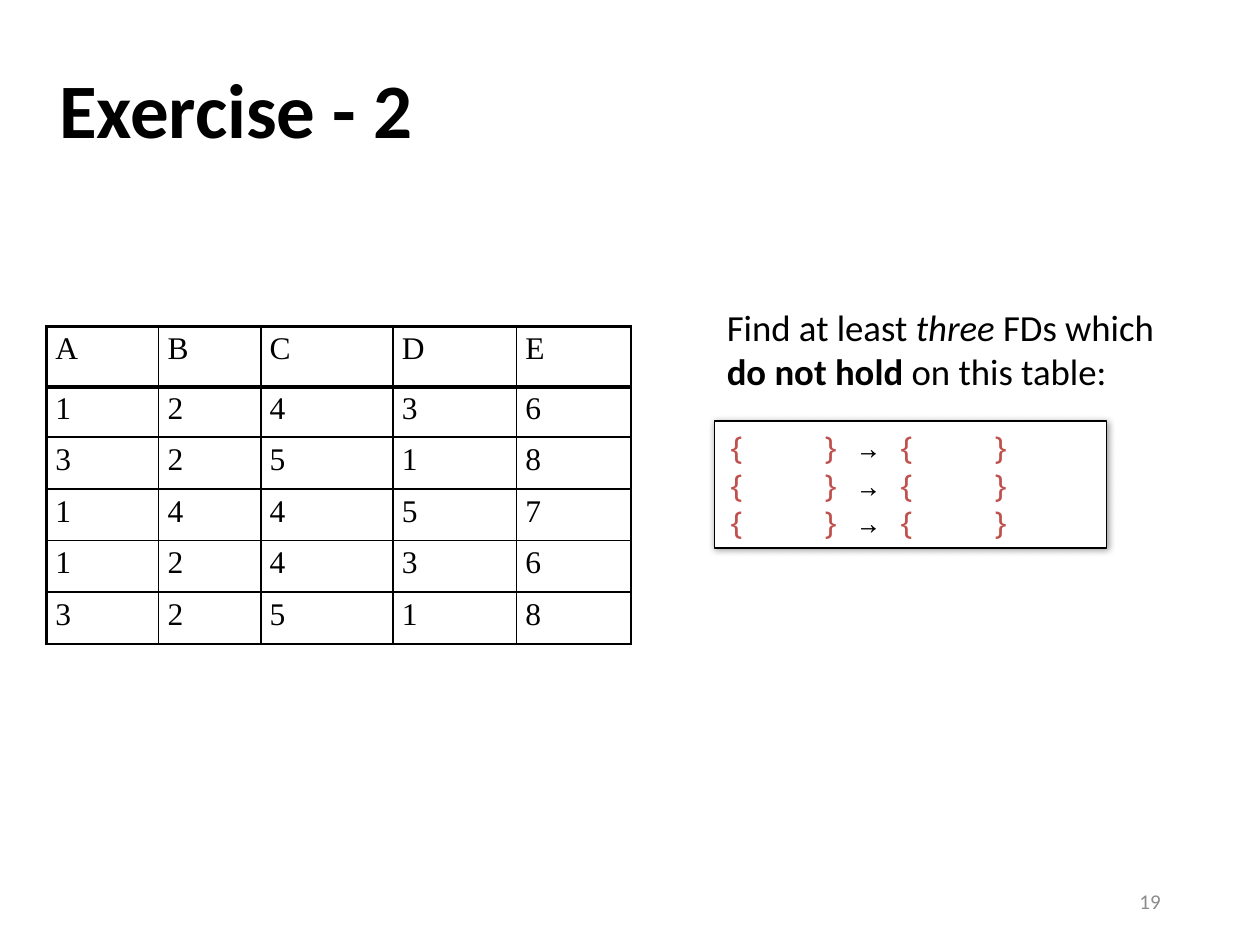
import pptx
import pptx.dml.color
import pptx.enum.shapes
import pptx.enum.text
import pptx.oxml
import pptx.oxml.ns
import pptx.util
from pptx.util import Inches

RGBColor = pptx.dml.color.RGBColor
Pt = pptx.util.Pt
Align = pptx.enum.text.PP_ALIGN
Anchor = pptx.enum.text.MSO_ANCHOR

BLACK = RGBColor(0x00, 0x00, 0x00)
WHITE = RGBColor(0xFF, 0xFF, 0xFF)
GRAY = RGBColor(0x8C, 0x8C, 0x8C)
RED = RGBColor(0xC0, 0x50, 0x4D)

NS = pptx.oxml.ns.nsdecls("a")
THIN, THICK = 1, 2.25


class SlideBuilder:
    body_font = "Calibri"
    table_font = "Times New Roman"
    mono_font = "Noto Sans Mono"

    def __init__(self, prs):
        self.slide = prs.slides.add_slide(prs.slide_layouts[6])

    def run(self, p, text, size, color=BLACK, font=None, bold=False, italic=False):
        r = p.add_run()
        r.text = text
        r.font.name = font or self.body_font
        r.font.size = Pt(size)
        r.font.color.rgb = color
        r.font.bold = bold
        r.font.italic = italic

    def text(self, box, runs, size, color=BLACK, anchor=Anchor.TOP,
             align=Align.LEFT, spacing=1.0):
        sp = self.slide.shapes.add_textbox(*map(Inches, box))
        tf = sp.text_frame
        tf.word_wrap = True
        tf.vertical_anchor = anchor
        p = tf.paragraphs[0]
        p.alignment = align
        p.line_spacing = spacing
        for text, style in runs:
            self.run(p, text, size, color, **style)

    def border(self, cell, side, width):
        cell._tc.get_or_add_tcPr().append(pptx.oxml.parse_xml(
            f'<a:{side} {NS} w="{int(Pt(width))}"><a:solidFill>'
            f'<a:srgbClr val="{BLACK}"/></a:solidFill></a:{side}>'))

    def table(self, left, top, widths, heights, rows):
        sp = self.slide.shapes.add_table(
            len(rows), len(widths), Inches(left), Inches(top),
            Inches(sum(widths)), Inches(sum(heights)))
        table = sp.table
        table.first_row = table.horz_banding = False
        for column, width in zip(table.columns, widths):
            column.width = Inches(width)
        for i, (row, height) in enumerate(zip(rows, heights)):
            table.rows[i].height = Inches(height)
            for j, value in enumerate(row):
                cell = table.cell(i, j)
                cell.margin_left = cell.margin_right = Inches(0.07)
                cell.margin_top = cell.margin_bottom = Inches(0.04)
                self.run(cell.text_frame.paragraphs[0], value, 18, font=self.table_font)
                self.border(cell, "lnL", THICK if j == 0 else THIN)
                self.border(cell, "lnR", THIN)
                self.border(cell, "lnT", THICK if i <= 1 else THIN)
                self.border(cell, "lnB", THICK if i == 0 else THIN)
                cell.fill.background()

    def shadow(self, sp):
        sp.shadow.inherit = False
        effects = sp._element.spPr.find(pptx.oxml.ns.qn("a:effectLst"))
        effects.append(pptx.oxml.parse_xml(
            f'<a:outerShdw {NS} blurRad="{int(Pt(4))}" dist="{int(Pt(1))}" '
            f'dir="{45 * 60000}" algn="tl" rotWithShape="0">'
            f'<a:srgbClr val="{BLACK}"><a:alpha val="40000"/></a:srgbClr></a:outerShdw>'))

    def tabs(self, p, stops):
        items = "".join(f'<a:tab pos="{int(Inches(x))}" algn="l"/>' for x in stops)
        p._p.get_or_add_pPr().append(
            pptx.oxml.parse_xml(f"<a:tabLst {NS}>{items}</a:tabLst>"))

    def answer_box(self, box, count, stops):
        sp = self.slide.shapes.add_shape(
            pptx.enum.shapes.MSO_SHAPE.RECTANGLE, *map(Inches, box))
        sp.fill.solid()
        sp.fill.fore_color.rgb = WHITE
        sp.line.color.rgb = BLACK
        sp.line.width = Pt(0.75)
        self.shadow(sp)
        tf = sp.text_frame
        tf.word_wrap = True
        tf.vertical_anchor = Anchor.MIDDLE
        for i in range(count):
            p = tf.add_paragraph() if i else tf.paragraphs[0]
            p.alignment = Align.LEFT
            self.tabs(p, stops)
            for text, color in (("{\t} ", RED), ("→ ", BLACK), ("{\t}", RED)):
                self.run(p, text, 18, color, self.mono_font)


def main():
    prs = pptx.Presentation()
    prs.slide_width, prs.slide_height = Inches(10), Inches(7.5)
    s = SlideBuilder(prs)
    s.text((0.37, 0.43, 8.62, 0.85), [("Exercise - 2", {"bold": True})], 44,
           anchor=Anchor.BOTTOM, spacing=0.9)
    s.text((7.06, 6.95, 2.25, 0.4), [("19", {})], 12, GRAY,
           Anchor.MIDDLE, Align.RIGHT)
    s.table(0.37, 2.59, [0.89, 0.81, 1.05, 0.98, 0.91], [0.48, 0.4] + [0.41] * 4,
            ["ABCDE", "12436", "32518", "14457", "12436", "32518"])
    s.text((5.67, 2.37, 3.8, 0.81), [
        ("Find at least ", {}),
        ("three", {"italic": True}),
        (" FDs which ", {}),
        ("do not hold ", {"bold": True}),
        ("on this table:", {}),
    ], 21)
    s.answer_box((5.67, 3.34, 3.11, 1.01), 3, (0.75, 2.1))
    prs.save("out.pptx")


if __name__ == "__main__":
    main()
